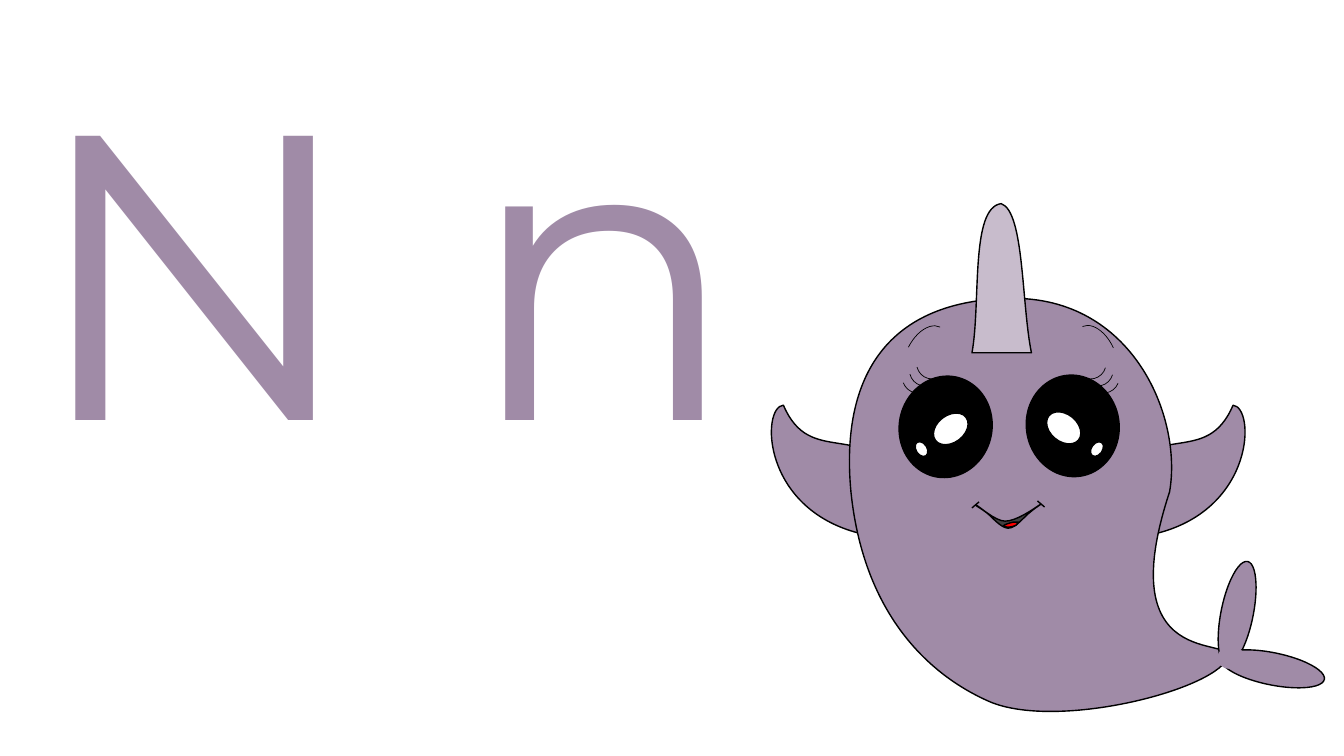
from math import cos, radians, sin

from lxml.etree import SubElement
from pptx import Presentation
from pptx.dml.color import RGBColor
from pptx.enum.shapes import MSO_SHAPE
from pptx.enum.text import MSO_AUTO_SIZE
from pptx.oxml.ns import qn
from pptx.util import Inches, Pt

COLORS = {"body": "A08BA7", "horn": "C8BCCC", "black": "000000",
          "white": "FFFFFF", "mouth": "404040", "tongue": "FF0000"}
MIRROR = 20
STEPS = 40


def style(sp, fill, width):
    sp.shadow.inherit = False
    if fill:
        sp.fill.solid()
        sp.fill.fore_color.rgb = RGBColor.from_string(COLORS[fill])
    else:
        sp.fill.background()
    if width:
        sp.line.color.rgb = RGBColor.from_string(COLORS["black"])
        sp.line.width = Pt(width)
    else:
        sp.line.fill.background()


def outline(shapes, start, segments, fill, turn=0):
    c, n = cos(radians(turn)), sin(radians(turn))
    runs = [[(x * c + y * n, y * c - x * n) for x, y in zip(seg[::2], seg[1::2])]
            for seg in [start, *segments]]
    reach = [runs[0][0]]
    for run in runs[1:]:
        ends = [reach[-1], *run]
        if len(run) == 3:
            for i in range(1, STEPS):
                t = i / STEPS
                mix = ((1 - t) ** 3, 3 * t * (1 - t) ** 2, 3 * t * t * (1 - t), t ** 3)
                reach.append(tuple(sum(m * e[k] for m, e in zip(mix, ends)) for k in (0, 1)))
        reach.append(run[-1])
    xs, ys = zip(*reach)
    left, top, w, h = min(xs), min(ys), max(xs) - min(xs), max(ys) - min(ys)
    mx, my = left + w / 2, top + h / 2
    x, y = mx * c - my * n - w / 2, mx * n + my * c - h / 2
    fb = shapes.build_freeform(Inches(x), Inches(y), scale=1.0)
    fb.add_line_segments([(Inches(x + w), Inches(y + h))], close=False)
    sp = fb.convert_to_shape()
    geom = sp.element.xpath(".//a:pathLst/*")[0]
    for child in list(geom):
        geom.remove(child)
    for i, run in enumerate(runs):
        tag = "a:moveTo" if i == 0 else "a:cubicBezTo" if len(run) == 3 else "a:lnTo"
        step = SubElement(geom, qn(tag))
        for px, py in run:
            SubElement(step, qn("a:pt"), x=str(int(Inches(px - left))), y=str(int(Inches(py - top))))
    if fill:
        SubElement(geom, qn("a:close"))
    sp.rotation = turn
    style(sp, fill, 1)


prs = Presentation()
prs.slide_width, prs.slide_height = Inches(13.33), Inches(7.5)
s = prs.slides.add_slide(prs.slide_layouts[6])

tb = s.shapes.add_textbox(Inches(0.19), Inches(0.09), Inches(8.37), Inches(4.98))
tf = tb.text_frame
tf.word_wrap = True
tf.auto_size = MSO_AUTO_SIZE.SHAPE_TO_FIT_TEXT
r = tf.paragraphs[0].add_run()
r.text = "N n"
for key, value in {"name": "Montserrat", "size": Pt(290)}.items():
    setattr(r.font, key, value)
r.font.color.rgb = RGBColor.from_string(COLORS["body"])

narwhal = s.shapes.add_group_shape().shapes

fin = [(7.77, 4.02), (8.04, 4.65, 8.54, 4.14, 9.05, 4.81), (8.52, 5.29),
       (7.55, 5.04, 7.55, 4.04, 7.77, 4.02)]
for sign, base, turn in ((1, 0, 62.2), (-1, MIRROR, 297.8)):
    placed = [tuple(base + sign * v if i % 2 == 0 else v for i, v in enumerate(seg))
              for seg in fin]
    outline(narwhal, placed[0], placed[1:], "body", turn)

outline(narwhal, (8.44, 4.88), [
    (8.33, 3.71, 8.82, 2.98, 10.02, 2.96), (11.23, 2.94, 11.73, 4.13, 11.6, 4.88),
    (10.97, 6.79, 12.41, 6.25, 12.15, 6.57), (11.89, 6.89, 10.41, 7.24, 9.79, 6.95),
    (9.17, 6.67, 8.56, 6.05, 8.44, 4.88)], "body")
outline(narwhal, (9.64, 3.5), [
    (9.73, 3.01, 9.62, 2.06, 9.93, 2.02), (10.16, 2.1, 10.13, 3.01, 10.23, 3.5),
    (9.64, 3.5)], "horn")

OVAL, ARC = MSO_SHAPE.OVAL, MSO_SHAPE.ARC
eye_parts = [
    (OVAL, (10.18, 8.92), (3.72, 3.73), 0.92, 1.01, (350.6, 11.7), "black", 1),
    (ARC, (10.66, 9.09), (3.45, 3.45), 0.31, 0.31, (106.2, 256.1), None, 0.5),
    (ARC, (10.73, 9.02), (3.52, 3.52), 0.31, 0.31, (106.2, 256.1), None, 0.5),
    (ARC, (10.79, 8.95), (3.59, 3.59), 0.31, 0.31, (112.3, 250.1), None, 0.5),
    (OVAL, (10.36, 9.24), (4.11, 4.12), 0.38, 0.27, (39.4, 322.9), "white", 1),
    (OVAL, (10.8, 9.06), (4.4, 4.4), 0.16, 0.11, (305.3, 57), "white", 1),
    (ARC, (10.68, 8.99), (3.21, 3.21), 0.38, 0.64, (335.4, 26.9), None, 0.5),
]
for side in (0, 1):
    for kind, lefts, tops, w, h, turns, fill, width in eye_parts:
        sp = narwhal.add_shape(kind, Inches(lefts[side]), Inches(tops[side]), Inches(w), Inches(h))
        sp.rotation = turns[side]
        if side:
            sp.element.spPr.xfrm.set("flipH", "1")
        style(sp, fill, width)

tail_parts = [(12.11, 5.56, 0.32, 1.05, 11.4, 1), (12.46, 6.11, 0.32, 1.05, 101.5, 1),
              (12.09, 6.39, 0.23, 0.26, 254.4, 0)]
for left, top, w, h, turn, width in tail_parts:
    sp = narwhal.add_shape(OVAL, Inches(left), Inches(top), Inches(w), Inches(h))
    sp.rotation = turn
    style(sp, "body", width)
sp.element.spPr.xfrm.set("flipV", "1")

outline(narwhal, (9.71, 4.98), [(9.64, 5.04), (9.64, 5.04)], None)
outline(narwhal, (9.68, 5.01), [
    (9.71, 5.02, 9.87, 5.17, 9.97, 5.17), (10.08, 5.17, 10.25, 5.05, 10.31, 5.01),
    (10.36, 4.98, 10.25, 5.05, 10.22, 5.08), (10.16, 5.12, 10.08, 5.24, 10, 5.24),
    (9.93, 5.24, 9.84, 5.13, 9.79, 5.09), (9.74, 5.05, 9.65, 5, 9.68, 5.01)], "mouth")
outline(narwhal, (10.05, 5.18), [
    (10.07, 5.18, 10.08, 5.18, 10.1, 5.18), (10.08, 5.21),
    (10.06, 5.22, 10.03, 5.23, 10.01, 5.23), (10.01, 5.23, 10, 5.23, 9.99, 5.23),
    (9.95, 5.22), (9.96, 5.21), (9.98, 5.2, 10.01, 5.19, 10.05, 5.18)], "tongue", 356.2)
outline(narwhal, (10.29, 4.97), [(10.36, 5.03), (10.36, 5.03)], None)

prs.save("out.pptx")
